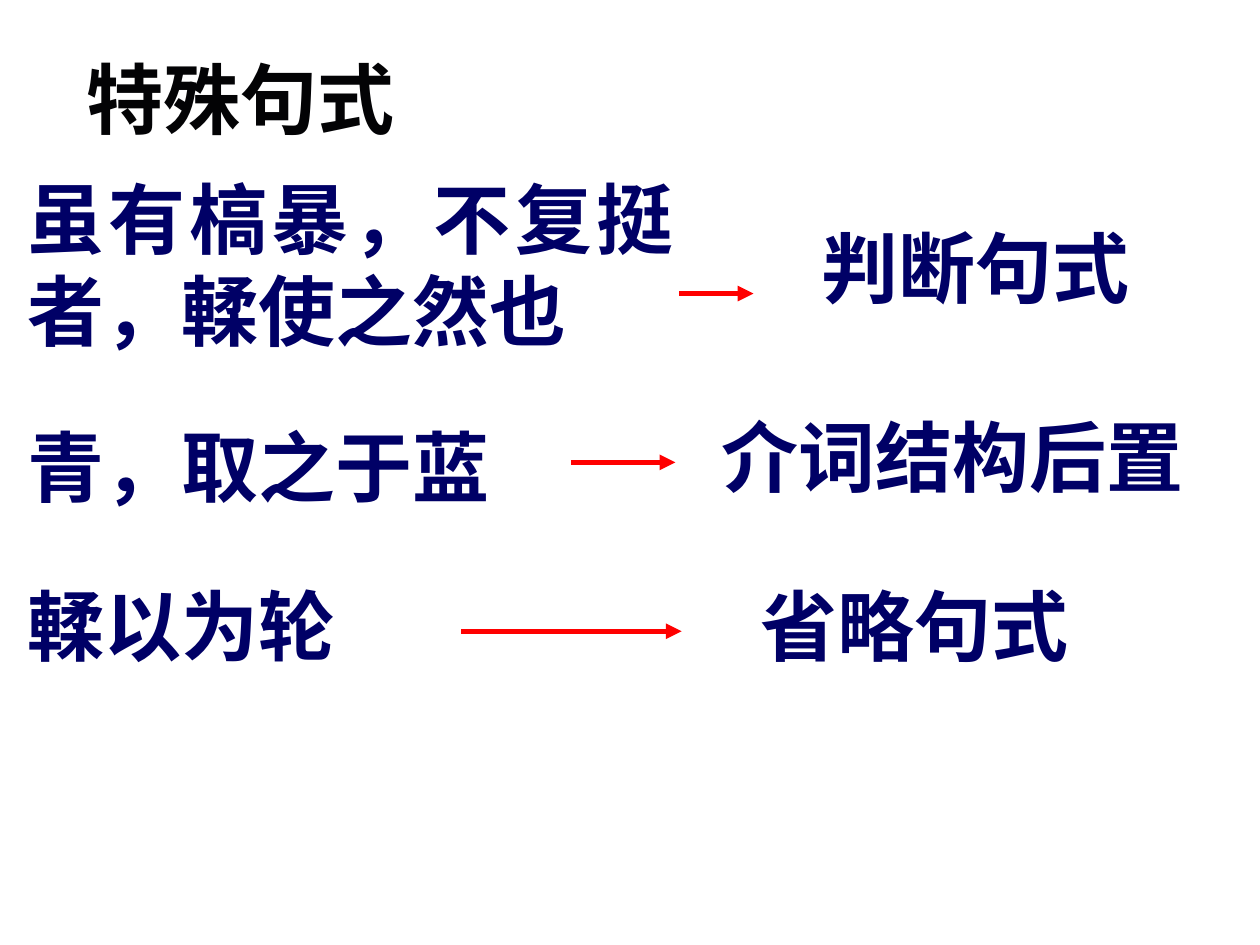
import lxml.etree
import pptx
import pptx.dml.color
import pptx.enum.shapes
import pptx.enum.text
import pptx.oxml.ns
import pptx.util

Inches = pptx.util.Inches
ALIGN = pptx.enum.text.PP_ALIGN
NAVY, BLACK, RED = "000066", "030305", "FF0000"


def colour(value):
    return pptx.dml.color.RGBColor.from_string(value)


def set_values(target, values):
    for name, value in values.items():
        setattr(target, name, value)


class SlideWriter:
    """Holds the text and arrow style and the slide being written."""

    font = {"name": "Times New Roman", "size": pptx.util.Pt(44), "bold": True}
    frame = {
        "margin_left": Inches(0.1),
        "margin_right": Inches(0.1),
        "margin_top": Inches(0.05),
        "margin_bottom": Inches(0.05),
        "auto_size": pptx.enum.text.MSO_AUTO_SIZE.SHAPE_TO_FIT_TEXT,
    }
    arrow_width = pptx.util.Pt(3)

    def __init__(self, slide):
        self.slide = slide

    def text(self, words, left, top, width, height=0.84, fill=NAVY,
             align=ALIGN.LEFT, wrap=True):
        box = self.slide.shapes.add_textbox(
            Inches(left), Inches(top), Inches(width), Inches(height))
        set_values(box.text_frame, {**self.frame, "word_wrap": wrap})
        paragraph = box.text_frame.paragraphs[0]
        paragraph.alignment = align
        run = paragraph.add_run()
        run.text = words
        set_values(run.font, self.font)
        run.font.color.rgb = colour(fill)

    def arrow(self, start, end, height):
        connector = self.slide.shapes.add_connector(
            pptx.enum.shapes.MSO_CONNECTOR.STRAIGHT,
            Inches(start), Inches(height), Inches(end), Inches(height))
        connector.line.color.rgb = colour(RED)
        connector.line.width = self.arrow_width
        qn = pptx.oxml.ns.qn
        lxml.etree.SubElement(connector.line._get_or_add_ln(),
                              qn("a:tailEnd"), type="triangle")
        lxml.etree.SubElement(connector._element.spPr, qn("a:effectLst"))


def main():
    presentation = pptx.Presentation()
    presentation.slide_width = Inches(10)
    presentation.slide_height = Inches(7.5)
    writer = SlideWriter(
        presentation.slides.add_slide(presentation.slide_layouts[6]))

    # Title, wide enough for its four characters on one line
    writer.text("特殊句式", 0.59, 0.36, 2.7, fill=BLACK, wrap=False)

    # Example sentences
    sentence_left = 0.12
    writer.text("虽有槁暴，不复挺者，輮使之然也", sentence_left, 1.31, 5.33, 1.57,
                align=ALIGN.JUSTIFY)
    for words, top in (("青，取之于蓝", 3.28), ("輮以为轮", 4.54)):
        writer.text(words, sentence_left, top, 4.17)

    # Sentence types
    for words, left, top, width in (
        ("判断句式", 6.42, 1.7, 3.42),
        ("介词结构后置", 5.63, 3.2, 3.92),
        ("省略句式", 5.94, 4.54, 2.92),
    ):
        writer.text(words, left, top, width)

    # Arrows from sentence to type
    for start, end, height in ((5.39, 5.98, 2.33), (4.53, 5.36, 3.67),
                               (3.66, 5.41, 5.01)):
        writer.arrow(start, end, height)

    presentation.save("out.pptx")


if __name__ == "__main__":
    main()
